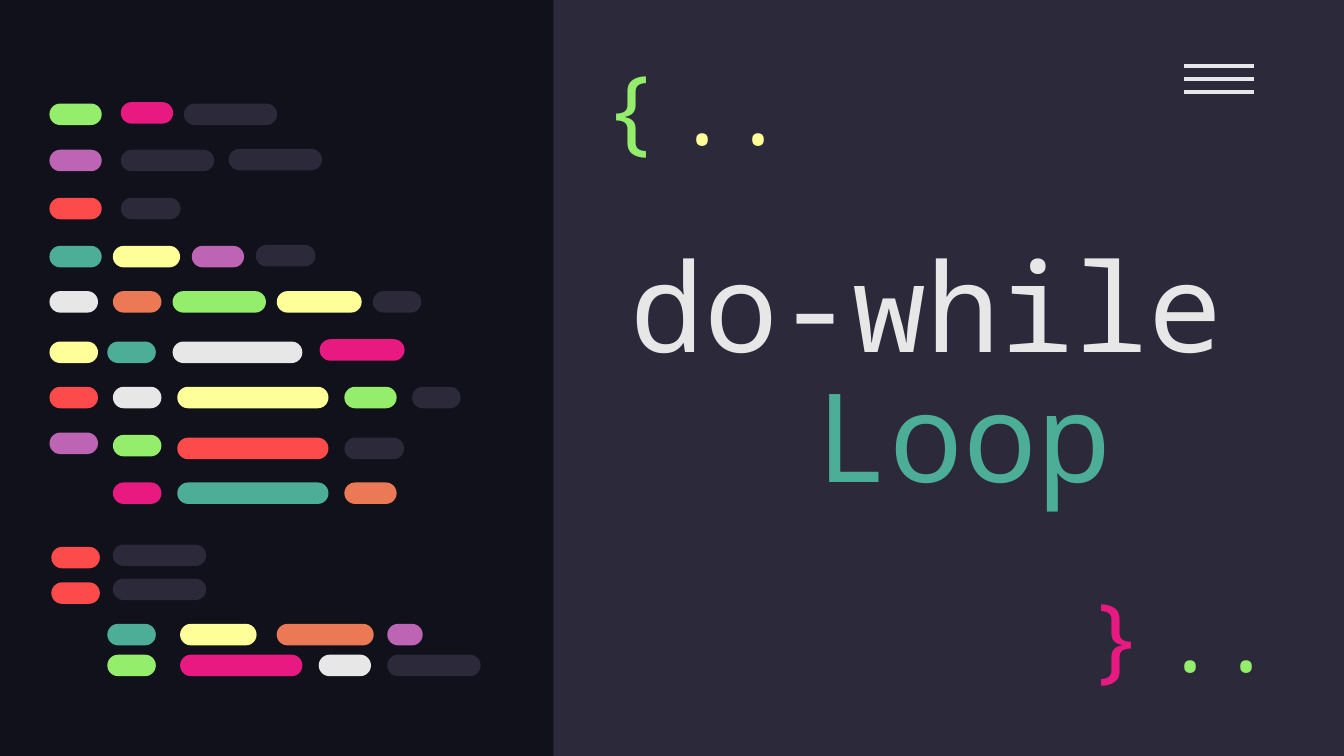
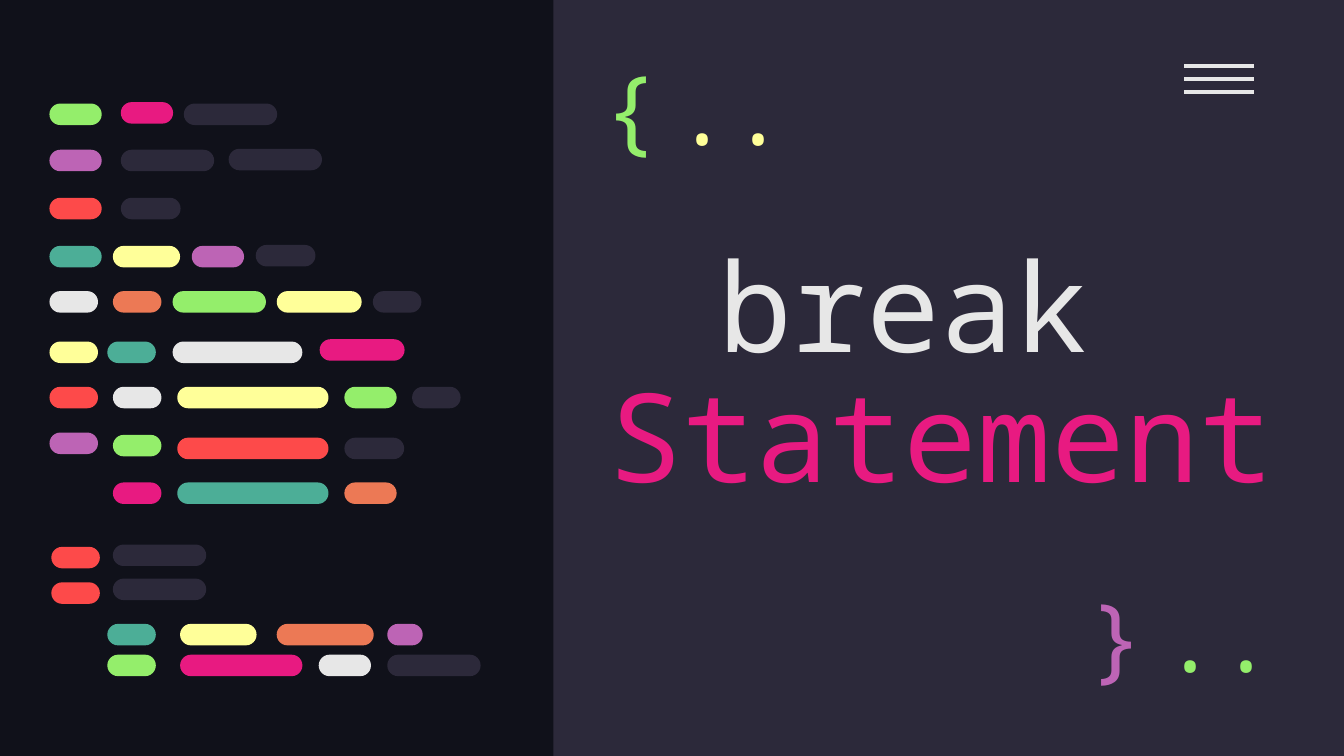
from dataclasses import dataclass

from lxml.etree import SubElement
from pptx import Presentation
from pptx.dml.color import RGBColor
from pptx.enum.shapes import MSO_CONNECTOR as Connector, MSO_SHAPE as Shape
from pptx.enum.text import MSO_ANCHOR as Anchor, PP_ALIGN as Align
from pptx.oxml.ns import qn
from pptx.util import Pt


@dataclass(frozen=True)
class Theme:
    """Colours, font and type sizes of the deck."""
    night: str = "10111A"
    slate: str = "2C293A"
    white: str = "E7E7E7"
    green: str = "94EE6B"
    pink: str = "E81A81"
    purple: str = "BD64B5"
    red: str = "FD4A4A"
    teal: str = "4CAE97"
    yellow: str = "FFFF99"
    orange: str = "EC7955"
    font: str = "Noto Sans Mono"
    title_size: float = 66
    brace_size: float = 50


@dataclass(frozen=True)
class Box:
    """A rectangle in points that can place smaller boxes inside itself."""
    left: float
    top: float
    width: float
    height: float

    def inner(self, left, top, width, height):
        """Return a box offset from this one's corner."""
        return Box(self.left + left, self.top + top, width, height)

    def lengths(self):
        """Return left, top, width and height as lengths."""
        return [Pt(v) for v in (self.left, self.top, self.width, self.height)]


THEME = Theme()
PAGE = Box(0, 0, 720, 405)
CODE_PANEL = Box(0, 0, 296.5, 405)
TITLE_PANEL = Box(296.5, 0, 423.5, 405)
PILL_HEIGHT = 11.5

CODE_ROWS = [
    (55.5, [(26.5, 28, "green"), (64.75, 28, "pink", -0.75), (98.5, 50, "slate")]),
    (80.25, [(26.5, 28, "purple"), (64.75, 50, "slate"), (122.5, 50, "slate", -0.5)]),
    (106, [(26.5, 28, "red"), (64.75, 32, "slate")]),
    (131.75, [(26.5, 28, "teal"), (60.5, 36, "yellow"), (102.75, 28, "purple"),
              (137, 32, "slate", -0.5)]),
    (156, [(26.5, 26, "white"), (60.5, 26, "orange"), (92.5, 50, "green"),
           (148.25, 45.5, "yellow"), (199.75, 26, "slate")]),
    (183, [(26.5, 26, "yellow"), (57.5, 26, "teal"), (92.5, 69.5, "white"),
           (171.25, 45.5, "pink", -1.25)]),
    (207.25, [(26.5, 26, "red"), (60.5, 26, "white"), (95, 81, "yellow"),
              (184.5, 28, "green"), (220.75, 26, "slate")]),
    (234.5, [(26.5, 26, "purple", -2.75), (60.5, 26, "green", -1.5),
             (95, 81, "red"), (184.5, 32, "slate")]),
    (258.5, [(60.5, 26, "pink"), (95, 81, "teal"), (184.5, 28, "orange")]),
    (293, [(27.5, 26, "red"), (60.5, 50, "slate", -1.25)]),
    (312, [(27.5, 26, "red"), (60.5, 50, "slate", -2)]),
    (334.25, [(57.5, 26, "teal"), (96.5, 41, "yellow"), (148.25, 52, "orange"),
              (207.5, 19, "purple")]),
    (350.75, [(57.5, 26, "green"), (96.5, 65.5, "pink"), (170.75, 28, "white"),
              (207.5, 50, "slate")]),
]


def rgb(name):
    """Look up a theme colour."""
    return RGBColor.from_string(getattr(THEME, name))


def add_block(page, box, color, kind=Shape.RECTANGLE):
    """Add a plain filled shape without outline."""
    block = page.shapes.add_shape(kind, *box.lengths())
    block.shadow.inherit = False
    block.fill.solid()
    block.fill.fore_color.rgb = rgb(color)
    block.line.fill.background()
    return block


def add_text(page, box, lines, size, align=Align.LEFT, anchor=Anchor.TOP, spacing=1.0):
    """Add one paragraph whose lines are pairs of text and colour."""
    frame = page.shapes.add_textbox(*box.lengths()).text_frame
    frame.word_wrap = True
    frame.vertical_anchor = anchor
    frame.margin_left = frame.margin_right = Pt(7.2)
    frame.margin_top = frame.margin_bottom = Pt(7.2)
    para = frame.paragraphs[0]
    para.alignment = align
    para.line_spacing = spacing
    for index, (text, color) in enumerate(lines):
        if index:
            para.add_line_break()
        span = para.add_run()
        span.text = text
        span.font.name = THEME.font
        span.font.size = Pt(size)
        span.font.color.rgb = rgb(color)


def add_code_panel(page, panel):
    """Draw the rows of coloured pills that stand for code."""
    for top, pills in CODE_ROWS:
        for left, width, color, *shift in pills:
            box = panel.inner(left, top + sum(shift), width, PILL_HEIGHT)
            pill = add_block(page, box, color, Shape.ROUNDED_RECTANGLE)
            pill.adjustments[0] = 0.5


def add_menu(page, box, bars=3):
    """Draw evenly spaced menu bars across a box."""
    for index in range(bars):
        y = box.top + index * box.height / (bars - 1)
        ends = [Pt(v) for v in (box.left, y, box.left + box.width, y)]
        bar = page.shapes.add_connector(Connector.STRAIGHT, *ends)
        bar.line.color.rgb = rgb("white")
        bar.line.width = Pt(2.25)
        SubElement(bar._element.spPr, qn("a:effectLst"))


def add_braces(page, panel, closing_color):
    """Set the opening and closing braces with their dots."""
    size = THEME.brace_size
    dots = {"align": Align.RIGHT, "anchor": Anchor.MIDDLE}
    add_text(page, panel.inner(19.5, 19.5, 55.5, 68.5), [("{", "green")], size)
    add_text(page, panel.inner(279.5, 302.5, 41, 60), [("}", closing_color)], size)
    add_text(page, panel.inner(316.25, 319, 77, 43), [("..", "green")], size, **dots)
    add_text(page, panel.inner(54.75, 36.5, 77, 43), [("..", "yellow")], size, **dots)


def add_title_panel(page, panel, lines, title_left, closing_color):
    """Draw the lighter panel with its menu, title and braces."""
    add_block(page, panel, "slate")
    add_menu(page, panel.inner(338, 35.25, 37.5, 14.25))
    title = panel.inner(title_left, 103, panel.width - title_left, 199.5)
    add_text(page, title, lines, THEME.title_size, align=Align.CENTER,
             anchor=Anchor.MIDDLE, spacing=0.88)
    add_braces(page, panel, closing_color)


def add_section_page(deck, lines, title_left, closing_color):
    """Add a section page of code pills beside a large title."""
    page = deck.slides.add_slide(deck.slide_layouts[6])
    page.background.fill.solid()
    page.background.fill.fore_color.rgb = rgb("night")
    add_title_panel(page, TITLE_PANEL, lines, title_left, closing_color)
    add_code_panel(page, CODE_PANEL)


def main():
    """Build and save the deck."""
    deck = Presentation()
    deck.slide_width, deck.slide_height = Pt(PAGE.width), Pt(PAGE.height)
    add_section_page(deck, [("do-while ", "white"), ("Loop", "teal")], 16, "pink")
    add_section_page(deck, [("break ", "white"), ("Statement", "pink")], -8.5, "purple")
    deck.save("out.pptx")


if __name__ == "__main__":
    main()
